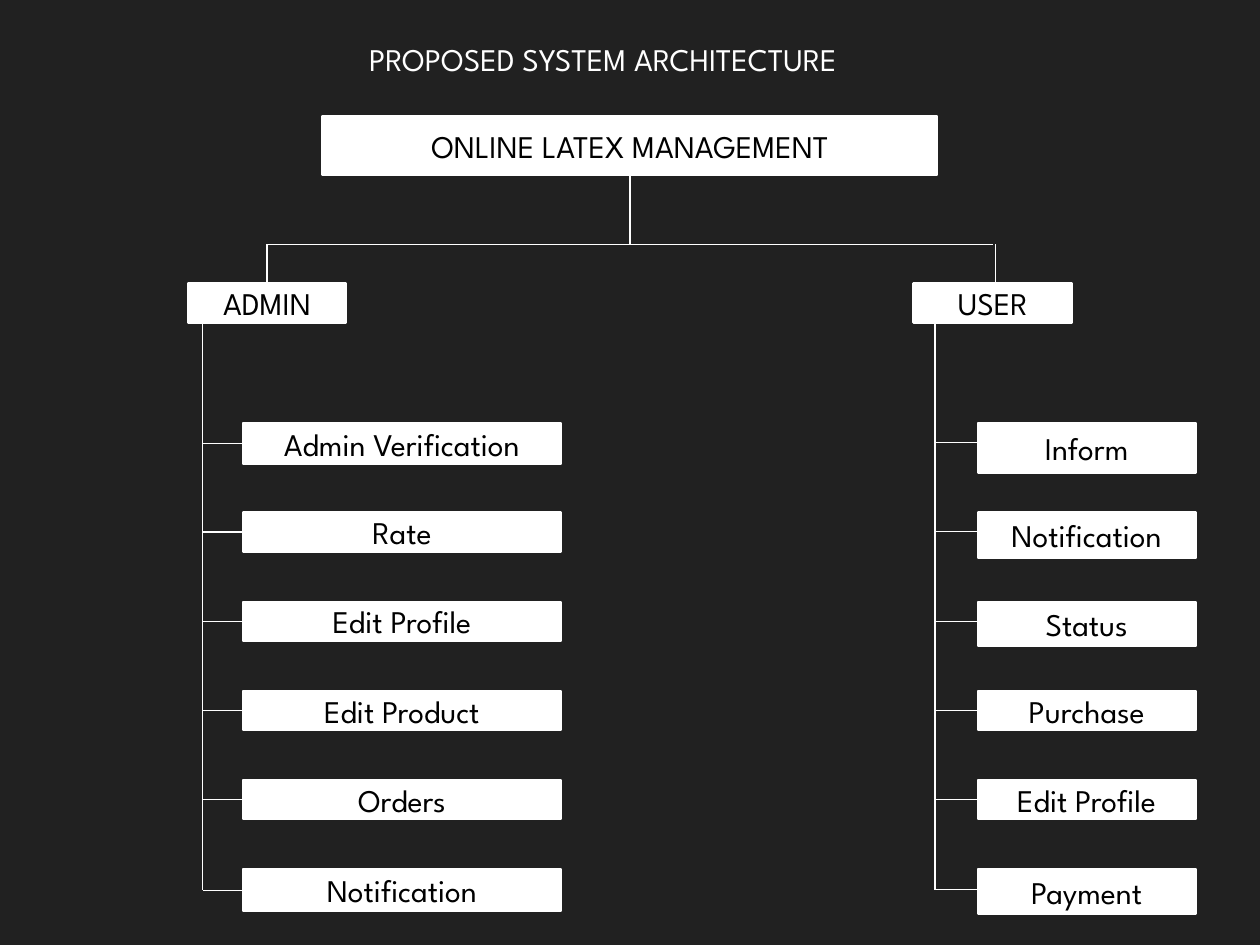
from lxml.etree import SubElement
from pptx import Presentation
from pptx.dml.color import RGBColor
from pptx.enum.shapes import MSO_CONNECTOR, MSO_SHAPE
from pptx.enum.text import MSO_ANCHOR, MSO_AUTO_SIZE, PP_ALIGN
from pptx.oxml.ns import qn
from pptx.util import Inches, Pt

FONT = "League Spartan"
DARK, WHITE, BLACK = "212121", "FFFFFF", "000000"

FIRST_BOX_TOP, BOX_STEP = 3.36, 0.708
FIRST_BRANCH_Y, BRANCH_STEP = 3.51, 0.71
BUS_Y = 1.94

# Each module: name, box left, drop x, trunk x, item left, item width, (item, height)
MODULES = [
    ("ADMIN", 1.49, 2.12, 1.61, 1.93, 2.52, [
        ("Admin Verification", 0.32), ("Rate", 0.31), ("Edit Profile", 0.31),
        ("Edit Product", 0.31), ("Orders", 0.31), ("Notification", 0.33)]),
    ("USER", 7.25, 7.9, 7.42, 7.76, 1.73, [
        ("Inform", 0.39), ("Notification", 0.36), ("Status", 0.35),
        ("Purchase", 0.31), ("Edit Profile", 0.31), ("Payment", 0.35)]),
]


def color(hex_code):
    return RGBColor.from_string(hex_code)


def format_text(text_frame, text, hex_code, alignment):
    text_frame.text = text
    paragraph = text_frame.paragraphs[0]
    paragraph.alignment = alignment
    font = paragraph.runs[0].font
    font.name = FONT
    font.size = Pt(18)
    font.color.rgb = color(hex_code)


def add_title(slide, text):
    title = slide.shapes.title
    title.left, title.top = Inches(2.83), Inches(0.27)
    title.width, title.height = Inches(4.34), Inches(0.4)
    text_frame = title.text_frame
    format_text(text_frame, text, WHITE, PP_ALIGN.LEFT)
    text_frame.word_wrap = False
    text_frame.auto_size = MSO_AUTO_SIZE.SHAPE_TO_FIT_TEXT
    text_frame.vertical_anchor = MSO_ANCHOR.TOP


def add_box(slide, text, left, top, width, height):
    box = slide.shapes.add_shape(
        MSO_SHAPE.RECTANGLE, Inches(left), Inches(top), Inches(width), Inches(height))
    box.shadow.inherit = False
    box.fill.solid()
    box.fill.fore_color.rgb = color(WHITE)
    box.line.color.rgb = color(WHITE)
    box.line.width = Pt(1.25)
    box.text_frame.vertical_anchor = MSO_ANCHOR.MIDDLE
    format_text(box.text_frame, text, BLACK, PP_ALIGN.CENTER)
    return box


def add_line(slide, x1, y1, x2, y2):
    line = slide.shapes.add_connector(
        MSO_CONNECTOR.STRAIGHT, Inches(x1), Inches(y1), Inches(x2), Inches(y2))
    line.line.color.rgb = color(WHITE)
    line.line.width = Pt(0.75)
    SubElement(line._element.spPr, qn("a:effectLst"))
    return line


def add_module(slide, name, left, drop_x, trunk_x, item_left, item_width, items):
    # Header box hanging from the horizontal bus
    add_line(slide, drop_x, BUS_Y, drop_x, 2.41)
    add_box(slide, name, left, 2.25, 1.26, 0.31)

    # Trunk down to the last branch
    last_y = FIRST_BRANCH_Y + (len(items) - 1) * BRANCH_STEP
    add_line(slide, trunk_x, 2.57, trunk_x, last_y)

    # Item boxes, each on its own branch
    for row, (text, height) in enumerate(items):
        top = FIRST_BOX_TOP + row * BOX_STEP
        branch_y = FIRST_BRANCH_Y + row * BRANCH_STEP
        box = add_box(slide, text, item_left, top, item_width, height)
        branch = add_line(slide, trunk_x, branch_y, item_left, branch_y)
        if abs(top + height / 2 - branch_y) < 0.015:
            branch.end_connect(box, 1)
            branch.begin_y = branch.end_y


def main():
    presentation = Presentation()
    presentation.slide_width, presentation.slide_height = Inches(10), Inches(7.5)
    slide = presentation.slides.add_slide(presentation.slide_layouts[5])
    slide.background.fill.solid()
    slide.background.fill.fore_color.rgb = color(DARK)

    # Title and root of the tree
    add_title(slide, "PROPOSED SYSTEM ARCHITECTURE")
    root = add_box(slide, "ONLINE LATEX MANAGEMENT", 2.56, 0.92, 4.88, 0.47)
    add_line(slide, 5, 1.39, 5, BUS_Y).begin_connect(root, 2)
    add_line(slide, 2.12, BUS_Y, 7.88, BUS_Y)

    # The two modules
    for module in MODULES:
        add_module(slide, *module)

    presentation.save("out.pptx")


if __name__ == "__main__":
    main()
